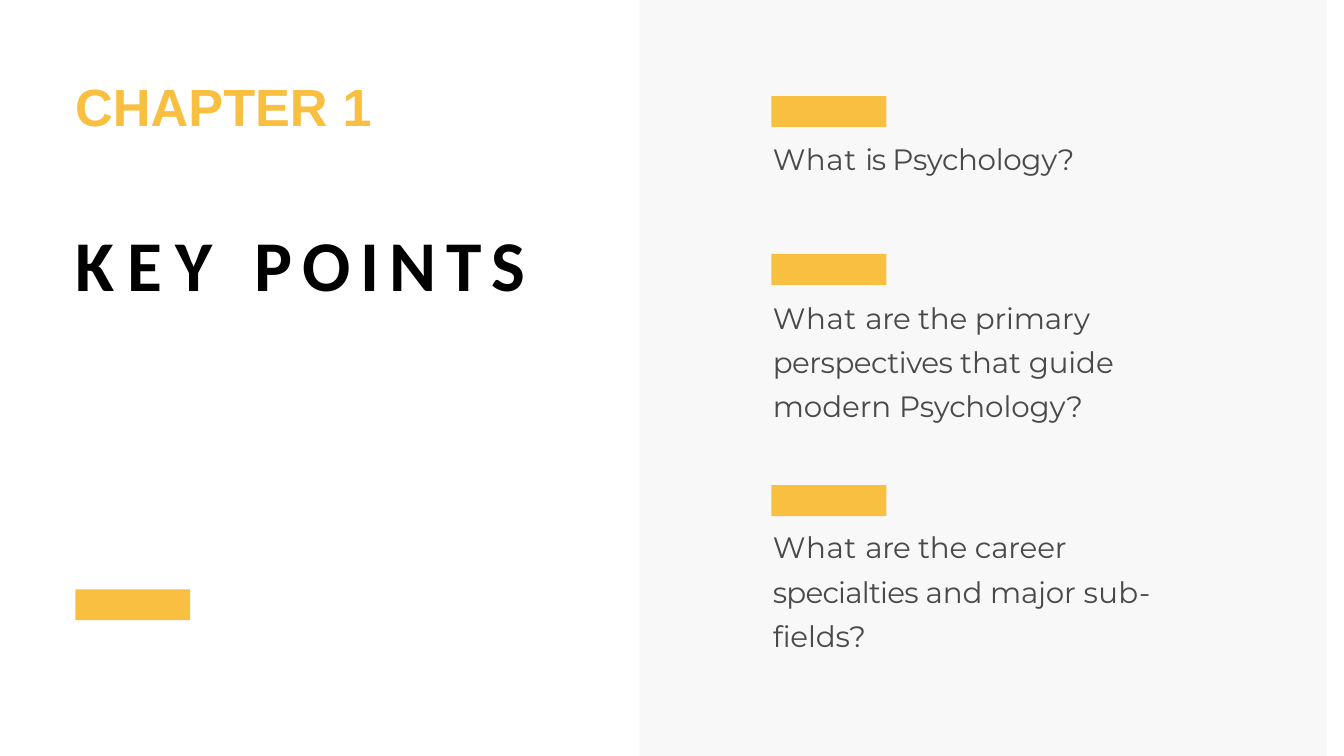
import dataclasses
import typing

import lxml.etree
import pptx
import pptx.dml.color
import pptx.enum.shapes
import pptx.enum.text
import pptx.oxml.ns
import pptx.util

PX = 9144


@dataclasses.dataclass(frozen=True)
class Theme:
    accent: str = "F9BF40"
    panel: str = "DDDDDD"
    panel_alpha: int = 18
    heading: str = "000000"
    body: str = "494949"
    chapter_size: float = 56
    heading_size: float = 76.5
    body_size: float = 31.5


class Box(typing.NamedTuple):
    left: int
    top: int
    width: int
    height: int

    def emu(self) -> list[int]:
        return [value * PX for value in self]


class Piece(typing.NamedTuple):
    text: str
    spacing: float = 0


@dataclasses.dataclass(frozen=True)
class Style:
    name: str
    size: float
    color: str
    bold: bool = False


@dataclasses.dataclass(frozen=True)
class Label:
    box: Box
    style: Style
    pieces: list[Piece]
    inset: int = 4
    line_spacing: float = 1.0


THEME = Theme()
CHAPTER = Style("Arial", THEME.chapter_size, THEME.accent, True)
HEADING = Style("Calibri", THEME.heading_size, THEME.heading, True)
BODY = Style("Montserrat", THEME.body_size, THEME.body)

PANEL = Box(952, 0, 1023, 1125)
BAR_WIDTH, BAR_HEIGHT = 171, 46
TITLE_BAR = (112, 877)
POINT_BAR_LEFT = 1148
POINT_BAR_TOPS = (143, 378, 722)

LABELS = [
    Label(Box(111, 324, 677, 131), HEADING, [Piece("KEY ", 14), Piece("POINTS", 10.6)]),
    Label(Box(111, 106, 446, 97), CHAPTER, [Piece("CHAPTER "), Piece("1", -0.5)]),
    Label(
        Box(1149, 206, 480, 56),
        BODY,
        [Piece("What ", 0.7), Piece("is ", -1.6), Piece("Psychology?", -0.3)],
    ),
    Label(
        Box(1149, 432, 559, 200),
        BODY,
        [
            Piece("What ", 0.7),
            Piece("are ", -0.5),
            Piece("the primary ", -0.1),
            Piece("perspectives ", -0.5),
            Piece("that "),
            Piece("guide ", -0.1),
            Piece("modern "),
            Piece("Psychology?", -0.1),
        ],
        inset=2,
        line_spacing=1.25,
    ),
    Label(
        Box(1149, 773, 615, 200),
        BODY,
        [
            Piece("What ", 0.7),
            Piece("are ", -0.5),
            Piece("the career ", -0.1),
            Piece("specialties ", -0.8),
            Piece("and ", -0.1),
            Piece("major ", -0.2),
            Piece("sub- ", 0.5),
            Piece("fields?", -0.1),
        ],
        inset=2,
        line_spacing=1.25,
    ),
]


def set_values(target: typing.Any, values: dict[str, typing.Any]) -> None:
    for name, value in values.items():
        setattr(target, name, value)


def add_block(slide: typing.Any, box: Box, color: str, alpha: int = 100) -> None:
    shape = slide.shapes.add_shape(
        pptx.enum.shapes.MSO_SHAPE.RECTANGLE, *box.emu()
    )
    shape.shadow.inherit = False
    shape.fill.solid()
    shape.fill.fore_color.rgb = pptx.dml.color.RGBColor.from_string(color)
    shape.line.fill.background()
    if alpha < 100:
        qn = pptx.oxml.ns.qn
        fill_color = shape.element.spPr.find(f"{qn('a:solidFill')}/{qn('a:srgbClr')}")
        lxml.etree.SubElement(fill_color, qn("a:alpha"), val=str(alpha * 1000))


def add_bar(slide: typing.Any, left: int, top: int) -> None:
    add_block(slide, Box(left, top, BAR_WIDTH, BAR_HEIGHT), THEME.accent)


def add_label(slide: typing.Any, label: Label) -> None:
    frame = slide.shapes.add_textbox(*label.box.emu()).text_frame
    set_values(frame, {
        "word_wrap": True,
        "auto_size": pptx.enum.text.MSO_AUTO_SIZE.NONE,
        "margin_left": PX,
        "margin_top": label.inset * PX,
        "margin_right": 0,
        "margin_bottom": 0,
    })
    paragraph = frame.paragraphs[0]
    paragraph.line_spacing = label.line_spacing
    style = label.style
    for piece in label.pieces:
        run = paragraph.add_run()
        run.text = piece.text
        set_values(run.font, {
            "name": style.name,
            "size": pptx.util.Pt(style.size),
            "bold": style.bold,
        })
        run.font.color.rgb = pptx.dml.color.RGBColor.from_string(style.color)
        run._r.get_or_add_rPr().set("spc", str(round(piece.spacing * 100)))


def main() -> None:
    presentation = pptx.Presentation()
    set_values(presentation, {"slide_width": 2000 * PX, "slide_height": 1125 * PX})
    slide = presentation.slides.add_slide(presentation.slide_layouts[6])
    add_block(slide, PANEL, THEME.panel, THEME.panel_alpha)
    add_bar(slide, *TITLE_BAR)
    for label in LABELS:
        add_label(slide, label)
    for top in POINT_BAR_TOPS:
        add_bar(slide, POINT_BAR_LEFT, top)
    presentation.save("out.pptx")


if __name__ == "__main__":
    main()
